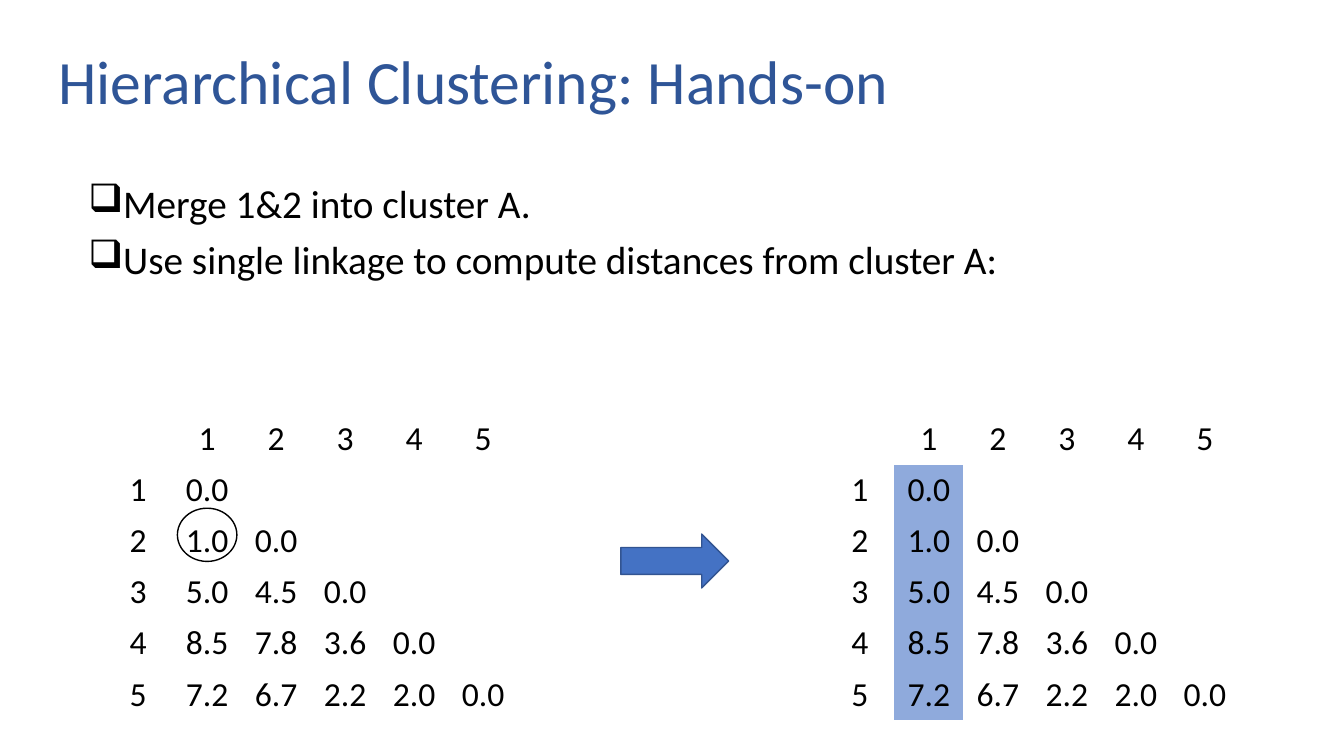
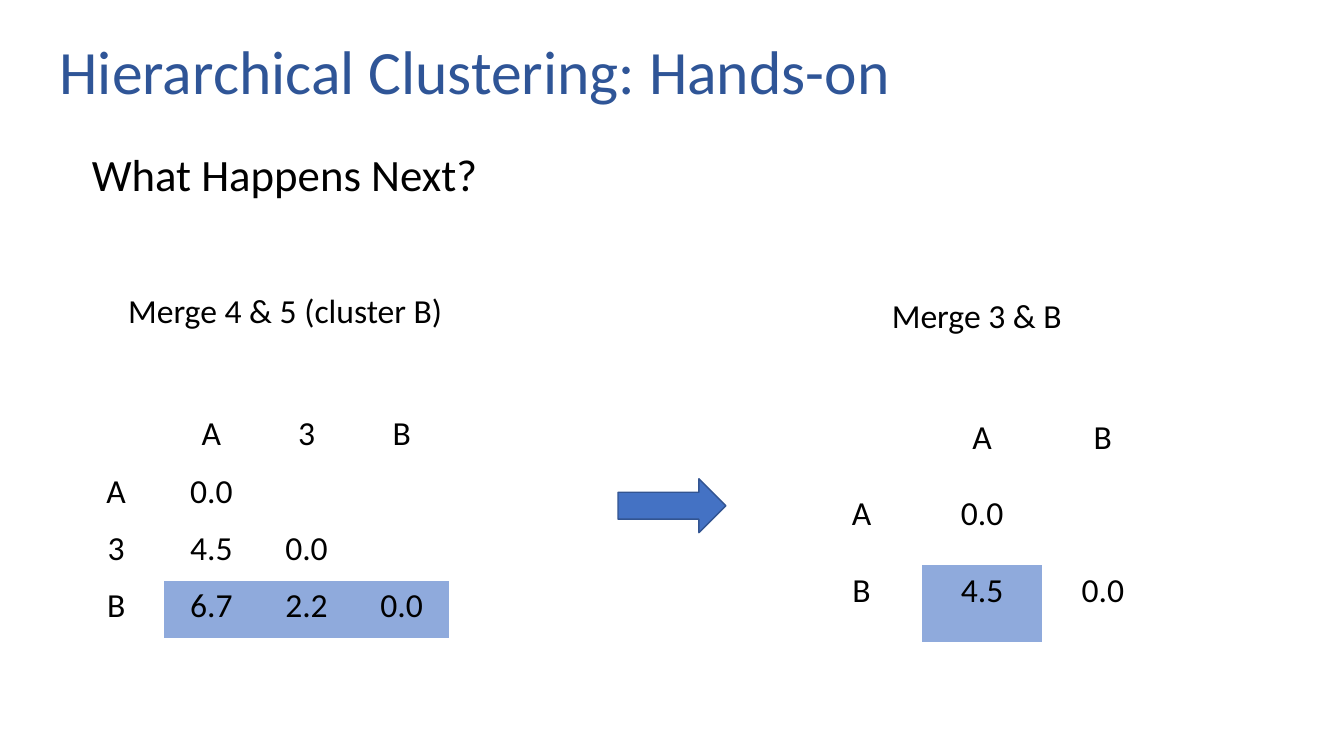
from dataclasses import dataclass
from typing import Any, NamedTuple

from lxml.etree import SubElement
from pptx import Presentation
from pptx.dml.color import RGBColor
from pptx.enum.shapes import MSO_SHAPE as Preset
from pptx.enum.text import MSO_ANCHOR as Anchor, PP_ALIGN as Align
from pptx.oxml.ns import qn
from pptx.shapes.autoshape import Shape
from pptx.slide import Slide
from pptx.util import Pt

COLORS = {
    "title": "2F5597",
    "text": "000000",
    "highlight": "8FAADC",
    "arrow": "4472C4",
    "arrow_edge": "325491",
}
FONT = "Calibri"
TITLE = "Hierarchical Clustering: Hands-on"
NO_TABLE_STYLE = "{2D5ABB26-0587-4C30-8999-92F81FD0307C}"
BULLET = "❑"
BULLET_INDENT = Pt(18)


class Box(NamedTuple):
    left: float
    top: float
    width: float
    height: float

    def lengths(self) -> list[Pt]:
        return [Pt(value) for value in self]


@dataclass(frozen=True)
class TextStyle:
    size: float
    color: str = "text"
    align: Align = Align.LEFT
    anchor: Anchor = Anchor.TOP
    line_spacing: float = 1.0
    space_between: float = 0
    bulleted: bool = False


@dataclass(frozen=True)
class DistanceMatrix:
    """Lower triangle of distances; highlighted holds (row, column) of the triangle."""
    left: float
    top: float
    column_width: float
    row_height: float
    labels: str
    distances: tuple[tuple[float, ...], ...]
    highlighted: frozenset[tuple[int, int]] = frozenset()


TITLE_STYLE = TextStyle(44, "title", anchor=Anchor.MIDDLE, line_spacing=0.9)
STEP_STYLE = TextStyle(28, line_spacing=0.9, space_between=10, bulleted=True)
QUESTION_STYLE = TextStyle(32)
CAPTION_STYLE = TextStyle(24, align=Align.CENTER)

POINT_DISTANCES = (
    (0.0,),
    (1.0, 0.0),
    (5.0, 4.5, 0.0),
    (8.5, 7.8, 3.6, 0.0),
    (7.2, 6.7, 2.2, 2.0, 0.0),
)


def rgb(name: str) -> RGBColor:
    return RGBColor.from_string(COLORS[name])


def apply_format(target: Any, values: dict[str, Any]) -> None:
    for attribute, value in values.items():
        setattr(target, attribute, value)


def format_paragraph(paragraph: Any, style: TextStyle) -> None:
    apply_format(paragraph, {"alignment": style.align, "line_spacing": style.line_spacing})
    apply_format(paragraph.font, {"name": FONT, "size": Pt(style.size)})
    paragraph.font.color.rgb = rgb(style.color)


def add_bullet(paragraph: Any) -> None:
    properties = paragraph._p.get_or_add_pPr()
    properties.set("marL", str(BULLET_INDENT))
    properties.set("indent", str(-BULLET_INDENT))
    SubElement(properties, qn("a:buChar"), char=BULLET)


def add_text(slide: Slide, box: Box, lines: list[str], style: TextStyle) -> None:
    frame = slide.shapes.add_textbox(*box.lengths()).text_frame
    apply_format(frame, {"word_wrap": True, "vertical_anchor": style.anchor})
    for index, line in enumerate(lines):
        paragraph = frame.add_paragraph() if index else frame.paragraphs[0]
        paragraph.text = line
        if style.bulleted:
            add_bullet(paragraph)
        format_paragraph(paragraph, style)
        if index:
            paragraph.space_before = Pt(style.space_between)


def add_outlined(slide: Slide, preset: Preset, box: Box, line: str) -> Shape:
    shape = slide.shapes.add_shape(preset, *box.lengths())
    shape.shadow.inherit = False
    shape.fill.background()
    shape.line.color.rgb = rgb(line)
    shape.line.width = Pt(1)
    return shape


def add_merge_arrow(slide: Slide, left: float, top: float) -> None:
    arrow = add_outlined(slide, Preset.RIGHT_ARROW, Box(left, top, 77, 38.5), "arrow_edge")
    arrow.fill.solid()
    arrow.fill.fore_color.rgb = rgb("arrow")


def add_matrix(slide: Slide, matrix: DistanceMatrix) -> None:
    count = len(matrix.labels) + 1
    box = Box(matrix.left, matrix.top, count * matrix.column_width, count * matrix.row_height)
    table = slide.shapes.add_table(count, count, *box.lengths()).table
    apply_format(table, {"first_row": False, "horz_banding": False})
    table._tbl.tblPr.find(qn("a:tableStyleId")).text = NO_TABLE_STYLE

    texts = {}
    for index, label in enumerate(matrix.labels, start=1):
        texts[0, index] = texts[index, 0] = label
    for row, distances in enumerate(matrix.distances, start=1):
        for column, distance in enumerate(distances, start=1):
            texts[row, column] = f"{distance:.1f}"

    for row in range(count):
        for column in range(count):
            cell = table.cell(row, column)
            cell.text = texts.get((row, column), "")
            format_paragraph(cell.text_frame.paragraphs[0], CAPTION_STYLE)
            if (row - 1, column - 1) in matrix.highlighted:
                cell.fill.solid()
                cell.fill.fore_color.rgb = rgb("highlight")
            else:
                cell.fill.background()


def add_titled_slide(deck: Any, title_box: Box) -> Slide:
    slide = deck.slides.add_slide(deck.slide_layouts[6])
    add_text(slide, title_box, [TITLE], TITLE_STYLE)
    return slide


def build_first_merge(deck: Any) -> None:
    slide = add_titled_slide(deck, Box(34.5, 29, 860, 62.5))
    steps = ["Merge 1&2 into cluster A.",
             "Use single linkage to compute distances from cluster A:"]
    add_text(slide, Box(56, 128, 838, 358.5), steps, STEP_STYLE)
    first_column = frozenset((row, 0) for row in range(len(POINT_DISTANCES)))
    for left, highlighted in ((589.5, first_column), (74, frozenset())):
        add_matrix(slide, DistanceMatrix(left, 295.5, 49.3, 36.5, "12345",
                                         POINT_DISTANCES, highlighted))
    add_outlined(slide, Preset.OVAL, Box(126.7, 363, 42.5, 38), "text")
    add_merge_arrow(slide, 443.5, 381.5)


def build_next_merges(deck: Any) -> None:
    slide = add_titled_slide(deck, Box(35.5, 19.5, 855, 68))
    matrices = (
        DistanceMatrix(49, 292, 68, 41, "A3B", ((0.0,), (4.5, 0.0), (6.7, 2.2, 0.0)),
                       frozenset((2, column) for column in range(3))),
        DistanceMatrix(572.3, 294.5, 86.2, 54.6, "AB", ((0.0,), (4.5, 0.0)),
                       frozenset({(1, 0)})),
    )
    for matrix in matrices:
        add_matrix(slide, matrix)
    add_merge_arrow(slide, 441.5, 342)
    for left, top, caption in ((49, 203.5, "Merge 4 & 5 (cluster B)"),
                               (543, 207, "Merge 3 & B")):
        add_text(slide, Box(left, top, 309.5, 36), [caption], CAPTION_STYLE)
    add_text(slide, Box(58.5, 101, 349, 46), ["What Happens Next?"], QUESTION_STYLE)


def main() -> None:
    deck = Presentation()
    apply_format(deck, {"slide_width": Pt(960), "slide_height": Pt(540)})
    build_first_merge(deck)
    build_next_merges(deck)
    deck.save("out.pptx")


if __name__ == "__main__":
    main()
